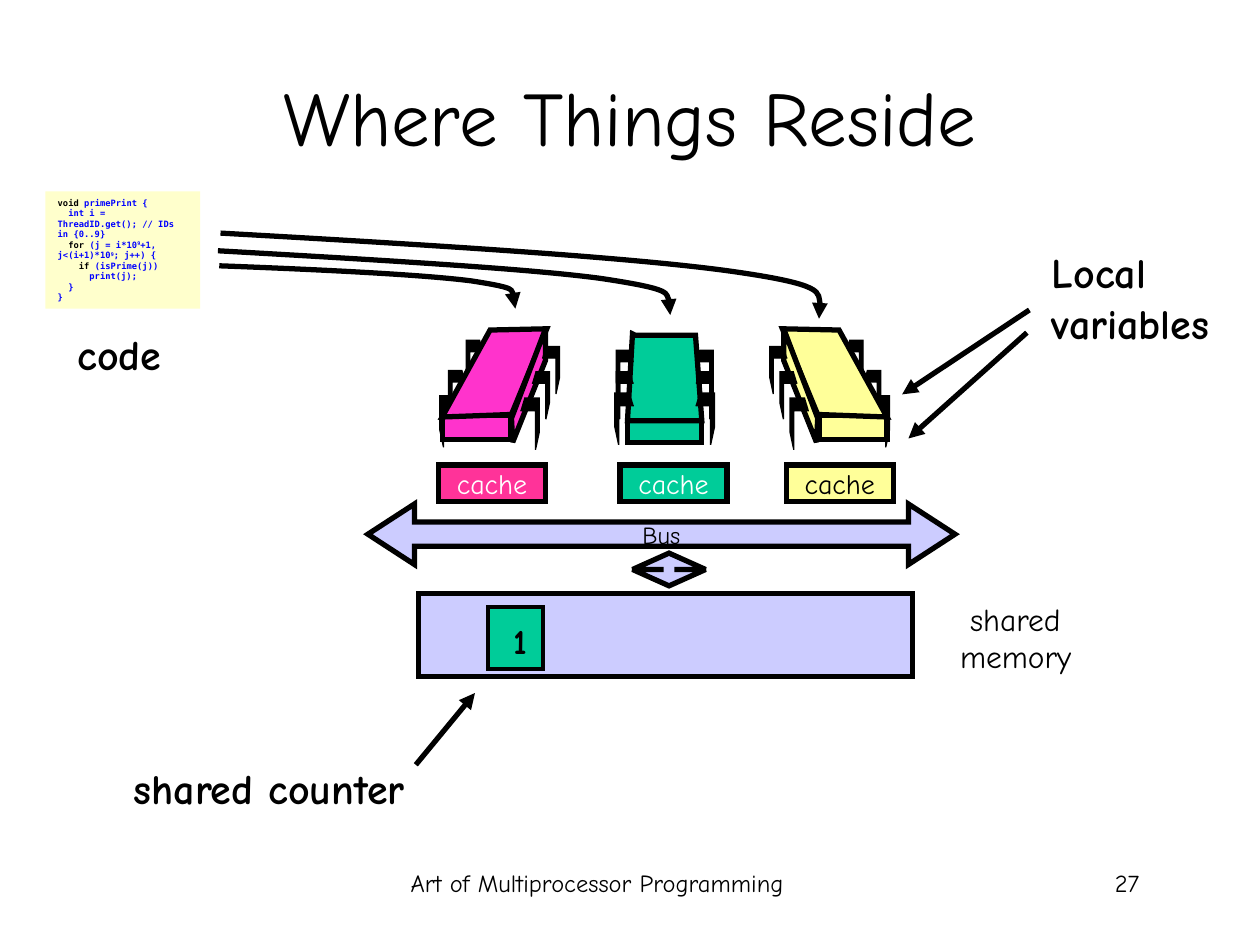
from dataclasses import dataclass
from typing import Optional

from lxml.etree import SubElement
from pptx import Presentation
from pptx.dml.color import RGBColor
from pptx.enum.shapes import MSO_CONNECTOR, MSO_SHAPE
from pptx.enum.text import MSO_ANCHOR, MSO_AUTO_SIZE, PP_ALIGN
from pptx.oxml.ns import qn
from pptx.util import Inches, Pt

Point = tuple[float, float]
Box = tuple[float, float, float, float]

HAND, MONO = "Comic Neue", "DejaVu Sans Mono"
BLACK, WHITE, BLUE, LAVENDER = "000000", "FFFFFF", "0000FF", "CCCCFF"
PINK, GREEN, YELLOW = "FF33CC", "00CC99", "FFFF99"
MIRROR_SUM = 10.55


@dataclass
class Label:
    text: str
    box: Box
    size: float
    align: PP_ALIGN = PP_ALIGN.RIGHT
    bold: bool = False
    wrap: bool = False
    anchor: MSO_ANCHOR = MSO_ANCHOR.TOP


@dataclass
class Cache:
    left: float
    fill: str
    text_color: str


@dataclass
class Leg:
    outer: float
    top: float
    scale: float
    outward: int


LABELS = [
    Label("Art of Multiprocessor Programming", (2.6, 6.84, 4.28, 0.5), 14, PP_ALIGN.CENTER, wrap=True),
    Label("27", (7.06, 6.84, 2.08, 0.5), 14, wrap=True),
    Label("Where Things Reside", (0.75, 0.29, 8.5, 1.25), 44, PP_ALIGN.CENTER, wrap=True,
          anchor=MSO_ANCHOR.MIDDLE),
    Label("1", (3.97, 4.87, 0.31, 0.44), 20, bold=True),
    Label("shared counter", (0.94, 6, 2.37, 0.5), 24, bold=True),
    Label("shared \nmemory", (7.52, 4.71, 1.08, 0.7), 18),
    Label("code", (0.48, 2.56, 0.9, 0.5), 24, bold=True),
    Label("Local\nvariables", (8.25, 1.91, 1.45, 0.9), 24, PP_ALIGN.LEFT, bold=True),
]
CACHES = [Cache(3.48, "FF3399", WHITE), Cache(4.92, GREEN, WHITE), Cache(6.24, YELLOW, BLACK)]
CENTER_LEGS = [Leg(5.67, 3.12, 1, 1), Leg(5.66, 2.95, 0.92, 1), Leg(5.66, 2.78, 0.92, 1),
               Leg(4.88, 3.12, 1, -1), Leg(4.89, 2.95, 0.92, -1), Leg(4.89, 2.78, 0.92, -1)]
BACK_LEGS = [Leg(3.49, 3.14, 1, -1), Leg(3.56, 2.94, 0.92, -1), Leg(3.7, 2.7, 0.92, -1)]
FRONT_LEGS = [Leg(4.28, 3.16, 1, 1), Leg(4.36, 2.95, 0.92, 1), Leg(4.44, 2.75, 0.92, 1)]
LEG_OUTLINE = [(0.12, 0), (0, 0), (0, 0.27), (0.03, 0.41), (0.03, 0.1), (0.15, 0.1)]
POINTERS = [((3.3, 6.07), (3.77, 5.5)), ((8.17, 2.46), (7.16, 3.13)), ((8.15, 2.64), (7.21, 3.48))]
CURVES = [
    [(1.73, 1.99), (2.95, 2.06), (4.18, 2.13), (4.77, 2.21), (5.37, 2.3), (5.34, 2.4), (5.32, 2.5)],
    [(1.75, 1.85), (3.36, 1.94), (4.98, 2.04), (5.78, 2.15), (6.57, 2.26), (6.53, 2.39), (6.5, 2.53)],
    [(1.74, 2.11), (2.54, 2.14), (3.35, 2.18), (3.74, 2.23), (4.13, 2.29), (4.11, 2.37), (4.09, 2.45)],
]
CODE = [
    [("void", BLACK), (" primePrint {", BLUE)],
    [("  int i = ThreadID.get(); // IDs in {0..9}", BLUE)],
    [("  for ", BLACK), ("(j = i*10", BLUE), ("9", BLUE, True), ("+1, j<(i+1)*10", BLUE),
     ("9", BLUE, True), ("; j++) {", BLUE)],
    [("    ", BLUE), ("if ", BLACK), ("(isPrime(j))", BLUE)],
    [("      print(j);", BLUE)],
    [("  }", BLUE)],
    [("}", BLUE)],
]


def color(value: str) -> RGBColor:
    """Turn a hex string into a colour."""
    return RGBColor.from_string(value)


def style_shape(shape, fill: Optional[str], line_width: float) -> None:
    """Set fill and a sharp-cornered black outline, either of them optional."""
    shape.shadow.inherit = False
    if fill:
        shape.fill.solid()
        shape.fill.fore_color.rgb = color(fill)
    else:
        shape.fill.background()
    if line_width:
        shape.line.color.rgb = color(BLACK)
        shape.line.width = Pt(line_width)
        SubElement(shape.line._get_or_add_ln(), qn("a:miter"), lim="800000")
    else:
        shape.line.fill.background()


def add_arrowhead(line) -> None:
    """End a line with a triangle."""
    SubElement(line._get_or_add_ln(), qn("a:tailEnd"), type="triangle")


def write_text(shape, text: str, size: float, align: PP_ALIGN, text_color: str = BLACK,
               bold: bool = False) -> None:
    """Fill a shape with text in the handwriting font."""
    shape.text_frame.text = text
    for paragraph in shape.text_frame.paragraphs:
        paragraph.alignment = align
        for run in paragraph.runs:
            run.font.name = HAND
            run.font.size = Pt(size)
            run.font.bold = bold
            run.font.color.rgb = color(text_color)


def add_label(slide, label: Label) -> None:
    """Place a text box."""
    shape = slide.shapes.add_textbox(*map(Inches, label.box))
    shape.text_frame.word_wrap = label.wrap
    shape.text_frame.vertical_anchor = label.anchor
    write_text(shape, label.text, label.size, label.align, bold=label.bold)
    if not label.wrap:
        shape.text_frame.auto_size = MSO_AUTO_SIZE.SHAPE_TO_FIT_TEXT


def add_block(slide, kind: MSO_SHAPE, box: Box, fill: str, line_width: float = 3,
              adjustments: tuple[float, ...] = ()):
    """Place a preset shape."""
    shape = slide.shapes.add_shape(kind, *map(Inches, box))
    for index, value in enumerate(adjustments):
        shape.adjustments[index] = value
    style_shape(shape, fill, line_width)
    shape.text_frame.word_wrap = False
    return shape


def add_outline(slide, points: list[Point], fill: Optional[str], line_width: float = 3,
                close: bool = True):
    """Draw a freeform through points in inches."""
    start, *rest = [(Inches(x), Inches(y)) for x, y in points]
    builder = slide.shapes.build_freeform(*start)
    builder.add_line_segments(rest, close=close)
    shape = builder.convert_to_shape()
    style_shape(shape, fill, line_width)
    return shape


def add_curve(slide, points: list[Point]) -> None:
    """Draw a curved arrow from a start point and triples of Bezier points."""
    shape = add_outline(slide, points, None, close=False)
    outline = shape._element.find(".//" + qn("a:path"))
    segments = outline.findall(qn("a:lnTo"))
    for start in range(0, len(segments), 3):
        curve = SubElement(outline, qn("a:cubicBezTo"))
        for segment in segments[start:start + 3]:
            curve.append(segment[0])
            outline.remove(segment)
    add_arrowhead(shape.line)


def add_legs(slide, legs: list[Leg], mirrored: bool = False) -> None:
    """Draw chip legs, optionally mirrored to the other side."""
    for leg in legs:
        points = [(leg.outer - leg.outward * leg.scale * x, leg.top + leg.scale * y) for x, y in LEG_OUTLINE]
        add_outline(slide, mirror(points) if mirrored else points, BLACK, 0.75, close=False)


def mirror(points: list[Point]) -> list[Point]:
    """Reflect points about the middle chip."""
    return [(MIRROR_SUM - x, y) for x, y in points]


def add_center_chip(slide) -> None:
    """Draw the chip seen from the front."""
    add_block(slide, MSO_SHAPE.RECTANGLE, (4.98, 3.34, 0.59, 0.17), GREEN)
    add_outline(slide, [(5.04, 2.66), (5.52, 2.66), (5.57, 3.34), (4.98, 3.34), (5.02, 2.65)], GREEN)
    add_legs(slide, CENTER_LEGS)


def add_side_chip(slide, fill: str, mirrored: bool) -> None:
    """Draw a slanted chip."""
    left = MIRROR_SUM - 4.05 if mirrored else 3.51
    add_block(slide, MSO_SHAPE.RECTANGLE, (left, 3.3, 0.54, 0.19), fill)
    add_legs(slide, BACK_LEGS, mirrored)
    top = [(3.51, 3.31), (4.06, 3.29), (4.34, 2.61), (3.89, 2.62)]
    side = [(4.33, 2.61), (4.33, 2.86), (4.07, 3.51), (4.06, 3.32)]
    for face in (top, side):
        add_outline(slide, mirror(face) if mirrored else face, fill)
    add_legs(slide, FRONT_LEGS, mirrored)


def add_code(slide) -> None:
    """Place the code listing."""
    shape = add_block(slide, MSO_SHAPE.RECTANGLE, (0.36, 1.52, 1.23, 0.93), "FFFFCC", 0)
    frame = shape.text_frame
    frame.word_wrap = True
    frame.vertical_anchor = MSO_ANCHOR.TOP
    for index, pieces in enumerate(CODE):
        paragraph = frame.add_paragraph() if index else frame.paragraphs[0]
        paragraph.alignment = PP_ALIGN.LEFT
        for text, text_color, *raised in pieces:
            run = paragraph.add_run()
            run.text = text
            run.font.name = MONO
            run.font.size = Pt(5)
            run.font.bold = True
            run.font.color.rgb = color(text_color)
            if raised:
                run.font._element.set("baseline", "30000")


def add_pointer(slide, start: Point, end: Point) -> None:
    """Draw a straight arrow."""
    connector = slide.shapes.add_connector(MSO_CONNECTOR.STRAIGHT, *map(Inches, start + end))
    connector.line.color.rgb = color(BLACK)
    connector.line.width = Pt(3)
    add_arrowhead(connector.line)
    SubElement(connector._element.spPr, qn("a:effectLst"))


def main() -> None:
    """Build the slide and save it."""
    presentation = Presentation()
    presentation.slide_width, presentation.slide_height = Inches(10), Inches(7.5)
    slide = presentation.slides.add_slide(presentation.slide_layouts[6])
    add_center_chip(slide)
    add_side_chip(slide, PINK, mirrored=False)
    add_side_chip(slide, YELLOW, mirrored=True)
    bus = add_block(slide, MSO_SHAPE.LEFT_RIGHT_ARROW, (2.92, 4, 4.66, 0.48), LAVENDER,
                    adjustments=(0.4, 0.77))
    write_text(bus, "Bus", 14, PP_ALIGN.CENTER)
    add_block(slide, MSO_SHAPE.RECTANGLE, (3.32, 4.71, 3.92, 0.66), LAVENDER)
    add_block(slide, MSO_SHAPE.UP_DOWN_ARROW, (5.02, 4.39, 0.58, 0.26), LAVENDER, adjustments=(0.5, 0.15))
    for cache in CACHES:
        block = add_block(slide, MSO_SHAPE.RECTANGLE, (cache.left, 3.69, 0.85, 0.29), cache.fill)
        write_text(block, "cache", 16, PP_ALIGN.CENTER, cache.text_color)
    add_block(slide, MSO_SHAPE.RECTANGLE, (3.87, 4.82, 0.44, 0.49), GREEN, 2.25)
    add_code(slide)
    for label in LABELS:
        add_label(slide, label)
    for points in CURVES:
        add_curve(slide, points)
    for start, end in POINTERS:
        add_pointer(slide, start, end)
    presentation.save("out.pptx")


if __name__ == "__main__":
    main()
